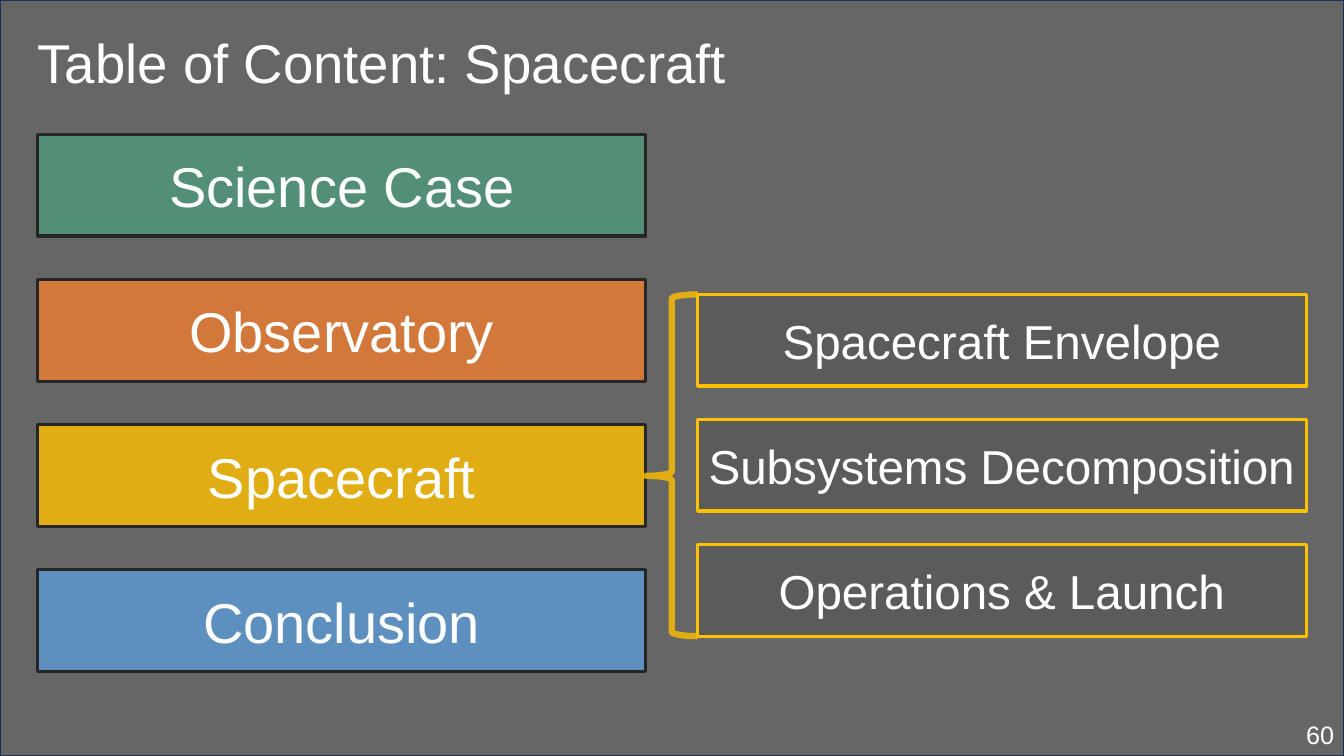
"""Build the spacecraft table-of-contents slide."""
from lxml.etree import SubElement
from pptx import Presentation
from pptx.dml.color import RGBColor
from pptx.enum.shapes import MSO_SHAPE
from pptx.enum.text import MSO_ANCHOR, MSO_AUTO_SIZE, PP_ALIGN
from pptx.oxml.ns import qn
from pptx.util import Cm, Pt

COLORS = {
    "shade": "000000", "frame": "1E3256", "text": "FFFFFF", "outline": "262626",
    "green": "4F9A7A", "orange": "ED7D31", "gold": "FFC000", "blue": "5B9BD5",
    "gray": "595959",
}
SLIDE_WIDTH, SLIDE_HEIGHT = 33.87, 19.05
CHAPTERS = [("Science Case", "green"), ("Observatory", "orange"),
            ("Spacecraft", "gold"), ("Conclusion", "blue")]
SECTIONS = ["Spacecraft Envelope", "Subsystems Decomposition", "Operations & Launch"]
CHAPTER_LEFT, CHAPTER_TOP, CHAPTER_HEIGHT, CHAPTER_STEP = 0.94, 3.38, 2.57, 3.66
SECTION_LEFT, SECTION_TOP, SECTION_HEIGHT, SECTION_STEP = 17.58, 7.42, 2.31, 3.15
BAR_WIDTH = 15.34


def paint(fill, color, opacity):
    fill.solid()
    fill.fore_color.rgb = RGBColor.from_string(COLORS[color])
    hue = fill._xPr.find(f"{qn('a:solidFill')}/{qn('a:srgbClr')}")
    SubElement(hue, qn("a:alpha"), val=str(opacity * 1000))


def set_line(shape, color, width):
    shape.line.color.rgb = RGBColor.from_string(COLORS[color])
    shape.line.width = Pt(width)


def write(frame, text, size, align, anchor):
    frame.word_wrap = True
    frame.auto_size = MSO_AUTO_SIZE.NONE
    frame.vertical_anchor = anchor
    frame.text = text
    paragraph = frame.paragraphs[0]
    paragraph.alignment = align
    paragraph.font.name = "Arial"
    paragraph.font.size = Pt(size)
    paragraph.font.color.rgb = RGBColor.from_string(COLORS["text"])
    return paragraph


def add_panel(slide, left, top, width, height, fill, opacity, line, line_width):
    panel = slide.shapes.add_shape(
        MSO_SHAPE.RECTANGLE, Cm(left), Cm(top), Cm(width), Cm(height))
    panel.shadow.inherit = False
    paint(panel.fill, fill, opacity)
    set_line(panel, line, line_width)
    return panel


def add_bar(slide, text, left, top, height, fill, line, size):
    bar = add_panel(slide, left, top, BAR_WIDTH, height, fill, 80, line, 2.25)
    write(bar.text_frame, text, size, PP_ALIGN.CENTER, MSO_ANCHOR.MIDDLE)


def add_title(slide, text):
    title = slide.shapes.title
    title.left, title.top, title.width, title.height = Cm(0.69), Cm(0.69), Cm(29.21), Cm(1.85)
    heading = write(title.text_frame, text, 39, PP_ALIGN.LEFT, MSO_ANCHOR.BOTTOM)
    heading.line_spacing = 0.9


def add_brace(slide):
    left = CHAPTER_LEFT + BAR_WIDTH
    height = SECTION_STEP * (len(SECTIONS) - 1) + SECTION_HEIGHT
    brace = slide.shapes.add_shape(
        MSO_SHAPE.LEFT_BRACE, Cm(left), Cm(SECTION_TOP), Cm(SECTION_LEFT - left), Cm(height))
    brace.shadow.inherit = False
    brace.adjustments[0] = 0.083
    brace.adjustments[1] = 0.531
    brace.fill.background()
    set_line(brace, "gold", 4.5)
    paint(brace.line.fill, "gold", 80)


def add_page_number(slide, number):
    box = slide.shapes.add_textbox(Cm(26.25), Cm(18.01), Cm(7.62), Cm(1.02))
    write(box.text_frame, number, 18, PP_ALIGN.RIGHT, MSO_ANCHOR.TOP)


def main():
    deck = Presentation()
    deck.slide_width, deck.slide_height = Cm(SLIDE_WIDTH), Cm(SLIDE_HEIGHT)
    slide = deck.slides.add_slide(deck.slide_layouts[5])
    backdrop = add_panel(slide, 0, 0, SLIDE_WIDTH, SLIDE_HEIGHT, "shade", 60, "frame", 1)
    slide.shapes.title.element.addprevious(backdrop.element)
    add_title(slide, "Table of Content: Spacecraft")
    for row, (chapter, color) in enumerate(CHAPTERS):
        add_bar(slide, chapter, CHAPTER_LEFT, CHAPTER_TOP + row * CHAPTER_STEP,
                CHAPTER_HEIGHT, color, "outline", 40)
    for row, section in enumerate(SECTIONS):
        add_bar(slide, section, SECTION_LEFT, SECTION_TOP + row * SECTION_STEP,
                SECTION_HEIGHT, "gray", "gold", 34)
    add_brace(slide)
    add_page_number(slide, "60")
    deck.save("out.pptx")


if __name__ == "__main__":
    main()
